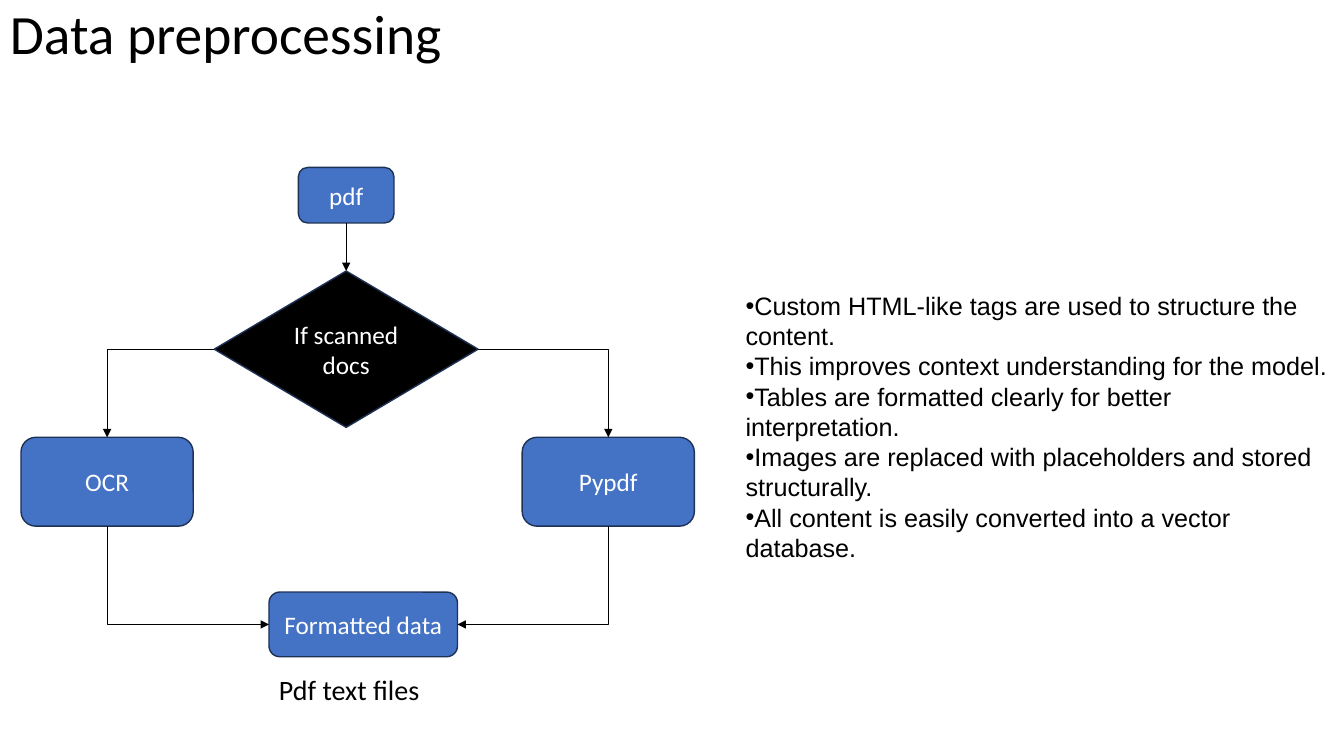
from dataclasses import dataclass
from lxml.etree import SubElement
from pptx import Presentation
from pptx.dml.color import RGBColor
from pptx.enum.shapes import MSO_CONNECTOR, MSO_SHAPE
from pptx.enum.text import MSO_ANCHOR, PP_ALIGN
from pptx.oxml.ns import qn
from pptx.util import Cm, Pt


@dataclass(frozen=True)
class Theme:
    ink: str = "000000"
    paper: str = "FFFFFF"
    box: str = "4472C4"
    border: str = "1E3256"
    main_font: str = "Calibri"
    bullet_font: str = "Arial"
    title: float = 39.6
    caption: float = 20
    body: float = 18
    border_width: float = 1
    arrow_width: float = 0.5


THEME = Theme()
TOP, LEFT, BOTTOM, RIGHT = range(4)  # connection sites

TITLE = "Data preprocessing"
CAPTION = "Pdf text files"
BULLETS = [
    "Custom HTML-like tags are used to structure the content.",
    "This improves context understanding for the model.",
    "Tables are formatted clearly for better interpretation.",
    "Images are replaced with placeholders and stored structurally.",
    "All content is easily converted into a vector database.",
]


def apply(target, values):
    for name, value in values.items():
        setattr(target, name, value)


def write(p, text, size, font=THEME.main_font, color=THEME.ink, **layout):
    apply(p, layout)
    r = p.add_run()
    r.text = text
    apply(r.font, {"size": Pt(size), "name": font})
    r.font.color.rgb = RGBColor.from_string(color)


def add_text_frame(s, box, anchor=MSO_ANCHOR.TOP):
    tf = s.shapes.add_textbox(*map(Cm, box)).text_frame
    apply(tf, {"word_wrap": True, "vertical_anchor": anchor})
    return tf


# Flow chart parts
def add_node(s, kind, box, text, fill):
    sp = s.shapes.add_shape(kind, *map(Cm, box))
    sp.shadow.inherit = False
    sp.fill.solid()
    sp.fill.fore_color.rgb = RGBColor.from_string(fill)
    sp.line.color.rgb = RGBColor.from_string(THEME.border)
    sp.line.width = Pt(THEME.border_width)
    tf = sp.text_frame
    apply(tf, {"word_wrap": True, "vertical_anchor": MSO_ANCHOR.MIDDLE})
    write(tf.paragraphs[0], text, THEME.body, color=THEME.paper,
          alignment=PP_ALIGN.CENTER)
    return sp


def add_arrow(s, start, start_site, end, end_site, kind=MSO_CONNECTOR.STRAIGHT):
    c = s.shapes.add_connector(kind, 0, 0, 0, 0)
    c.begin_connect(start, start_site)
    c.end_connect(end, end_site)
    c.line.color.rgb = RGBColor.from_string(THEME.ink)
    c.line.width = Pt(THEME.arrow_width)
    sp_pr = c._element.spPr
    SubElement(sp_pr.find(qn("a:ln")), qn("a:tailEnd"), type="triangle")
    SubElement(sp_pr, qn("a:effectLst"))
    return c


def add_elbow(s, start, start_site, end, end_site):
    """Draw a one-corner arrow, leaving sideways or downwards."""
    c = add_arrow(s, start, start_site, end, end_site, MSO_CONNECTOR.ELBOW)
    dx, dy = c.end_x - c.begin_x, c.end_y - c.begin_y
    mid_x, mid_y = (c.begin_x + c.end_x) // 2, (c.begin_y + c.end_y) // 2
    w, h = abs(dx), abs(dy)
    if start_site == BOTTOM:
        w, h = h, w
        degrees, flip = (270, "flipH") if dx > 0 else (90, None)
    else:
        degrees, flip = (0, None) if dx > 0 else (180, "flipV")
    sp_pr = c._element.spPr
    sp_pr.find(qn("a:prstGeom")).set("prst", "bentConnector2")
    xfrm = sp_pr.find(qn("a:xfrm"))
    xfrm.attrib.clear()
    xfrm.set("rot", str(degrees * 60000))
    if flip:
        xfrm.set(flip, "1")
    apply(c, {"left": mid_x - w // 2, "top": mid_y - h // 2,
              "width": w, "height": h})


# Regions
def add_title(s, box):
    tf = add_text_frame(s, box, MSO_ANCHOR.MIDDLE)
    write(tf.paragraphs[0], TITLE, THEME.title, line_spacing=0.9)


def add_flow(s, box):
    x, y, w, h = box
    reader_w, reader_h = 4.34, 2.24
    result_x, result_w = x + 6.25, 4.75

    def add_rounded(text, *place):
        return add_node(s, MSO_SHAPE.ROUNDED_RECTANGLE, place, text, THEME.box)

    pdf = add_rounded("pdf", x + 6.99, y, 2.41, 1.4)
    check = add_node(s, MSO_SHAPE.FLOWCHART_DECISION,
                     (x + 4.87, y + 2.61, 6.65, 3.94),
                     "If scanned docs", THEME.ink)
    result = add_rounded("Formatted data", result_x, y + 10.7, result_w, 1.63)
    add_arrow(s, pdf, BOTTOM, check, TOP)

    # Both readers branch from the check and meet at the result
    for text, left, side in (("OCR", x, LEFT),
                             ("Pypdf", x + w - reader_w, RIGHT)):
        reader = add_rounded(text, left, y + 6.8, reader_w, reader_h)
        add_elbow(s, check, side, reader, TOP)
        add_elbow(s, reader, BOTTOM, result, side)

    tf = add_text_frame(s, (result_x, y + h - 0.97, result_w, 0.97))
    write(tf.paragraphs[0], CAPTION, THEME.caption,
          line_spacing=0.8, space_before=Pt(10))


def add_bullets(s, box):
    tf = add_text_frame(s, box)
    for i, text in enumerate(BULLETS):
        p = tf.paragraphs[0] if i == 0 else tf.add_paragraph()
        write(p, text, THEME.body, THEME.bullet_font)
        p_pr = p._p.get_or_add_pPr()
        for name in ("marL", "indent"):
            p_pr.set(name, "0")
        SubElement(p_pr, qn("a:buFont"), typeface=THEME.bullet_font)
        SubElement(p_pr, qn("a:buChar"), char="•")


def main():
    prs = Presentation()
    apply(prs, {"slide_width": Cm(33.87), "slide_height": Cm(19.05)})
    s = prs.slides.add_slide(prs.slide_layouts[6])
    add_title(s, (0, 0, 33.87, 1.85))
    add_flow(s, (0.53, 4.22, 16.97, 13.74))
    add_bullets(s, (18.54, 7.19, 15.21, 7.19))
    prs.save("out.pptx")


if __name__ == "__main__":
    main()
